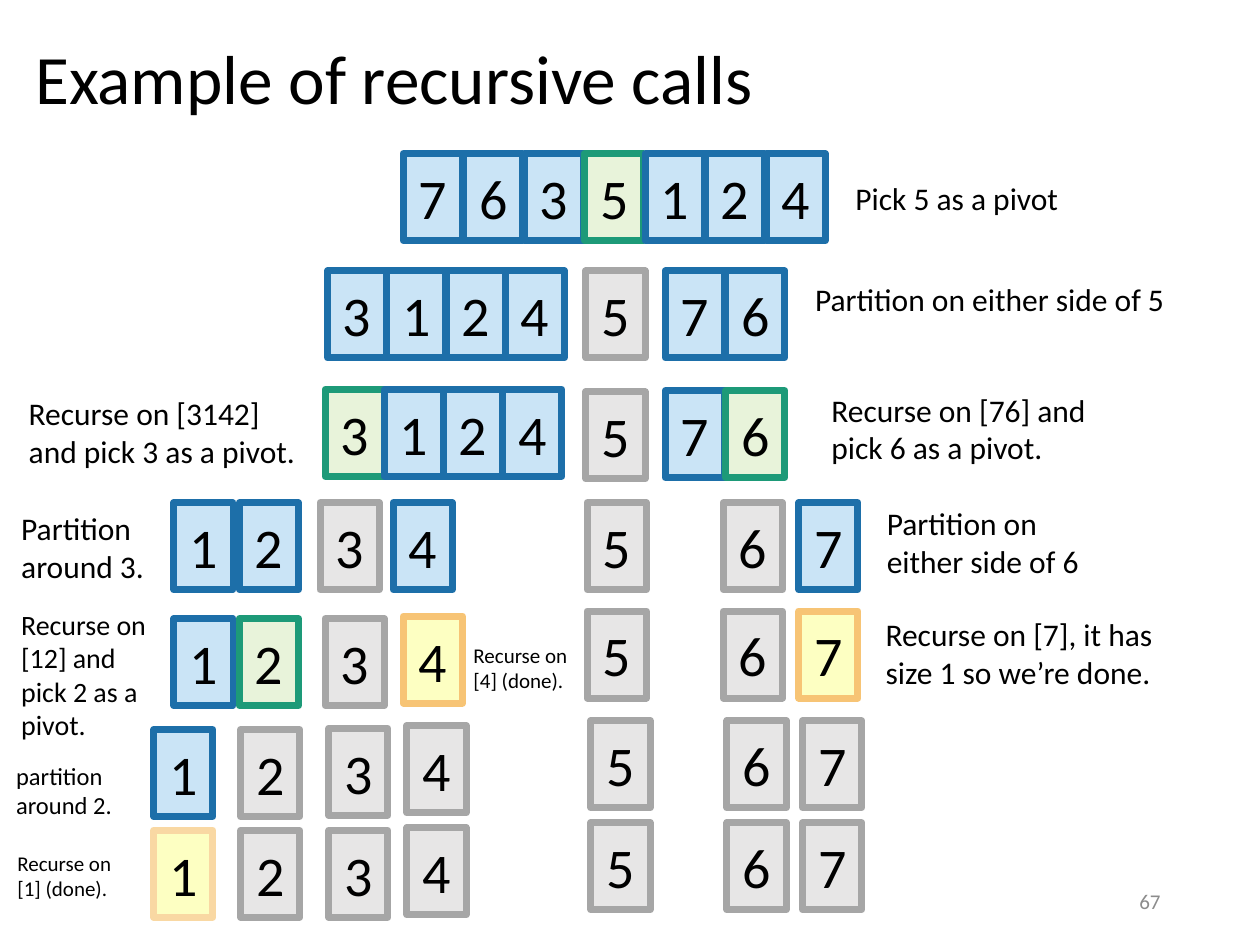
"""Build a slide that traces the recursive calls of quicksort."""
from pptx import Presentation
from pptx.dml.color import RGBColor
from pptx.enum.shapes import MSO_SHAPE
from pptx.enum.text import MSO_ANCHOR, MSO_AUTO_SIZE, PP_ALIGN
from pptx.util import Inches, Pt

COLORS = {
    "text": "000000",
    "number": "8C8C8C",
    "active_fill": "CAE4F6", "active_line": "1D6FA9",
    "pivot_fill": "E8F3DA", "pivot_line": "1D9A78",
    "placed_fill": "E7E6E6", "placed_line": "A6A6A6",
    "single_fill": "FDFFC2", "single_line": "F7C475",
    "last_fill": "FDFFC2", "last_line": "F9D8A3",
}
STATES = {"a": "active", "p": "pivot", "x": "placed", "s": "single", "l": "last"}
CELL_W, CELL_H, PITCH = 0.47, 0.69, 0.48

# left, top, digits, states, pitch
ARRAYS = [
    (3.2, 1.22, "7635124", "aaapaaa", PITCH),
    (2.6, 2.15, "3124", "aaaa", 0.47),
    (4.65, 2.15, "5", "x", PITCH),
    (5.28, 2.15, "76", "aa", PITCH),
    (2.58, 3.09, "3124", "paaa", 0.47),
    (4.65, 3.11, "5", "x", PITCH),
    (5.28, 3.1, "76", "ap", PITCH),
    (1.38, 3.99, "12", "aa", 0.52),
    (2.54, 3.99, "34", "xa", 0.58),
    (4.66, 3.99, "5", "x", PITCH),
    (5.74, 3.99, "67", "xa", 0.6),
    (1.38, 4.91, "12", "ap", 0.52),
    (2.58, 4.91, "3", "x", PITCH),
    (3.2, 4.89, "4", "s", PITCH),
    (4.66, 4.85, "5", "x", PITCH),
    (5.74, 4.85, "67", "xs", 0.6),
    (1.22, 5.79, "12", "ax", 0.69),
    (2.61, 5.78, "3", "x", PITCH),
    (3.23, 5.76, "4", "x", PITCH),
    (4.69, 5.72, "5", "x", PITCH),
    (5.77, 5.72, "67", "xx", 0.6),
    (1.22, 6.59, "12", "lx", 0.69),
    (2.61, 6.59, "3", "x", PITCH),
    (3.23, 6.57, "4", "x", PITCH),
    (4.69, 6.53, "5", "x", PITCH),
    (5.77, 6.53, "67", "xx", 0.6),
]

# left, top, width, height, size, text
NOTES = [
    (6.69, 1.37, 2.15, 0.4, 18, "Pick 5 as a pivot"),
    (6.37, 2.17, 3.09, 0.4, 18, "Partition on either side of 5"),
    (0.13, 3.08, 2.37, 0.71, 18, "Recurse on [3142] and pick 3 as a pivot."),
    (6.5, 3.05, 2.26, 0.71, 18, "Recurse on [76] and pick 6 as a pivot."),
    (0.07, 3.99, 1.43, 0.71, 18, "Partition around 3."),
    (6.94, 3.95, 1.77, 0.71, 18, "Partition on either side of 6"),
    (0.07, 4.77, 1.3, 1.18, 16, "Recurse on [12] and pick 2 as a pivot."),
    (3.66, 5.05, 0.96, 0.5, 12, "Recurse on [4] (done)."),
    (6.93, 4.83, 2.44, 0.71, 18, "Recurse on [7], it has size 1 so we’re done."),
    (0.03, 5.99, 1.13, 0.57, 14, "partition around 2."),
    (0.04, 6.7, 0.96, 0.5, 12, "Recurse on [1] (done)."),
]


def rgb(name):
    """Return the named colour."""
    return RGBColor.from_string(COLORS[name])


def write_text(sp, text, size=18, color="text", align=PP_ALIGN.LEFT,
               anchor=MSO_ANCHOR.TOP, fit=MSO_AUTO_SIZE.NONE, spacing=None):
    """Put one formatted paragraph into a shape."""
    tf = sp.text_frame
    tf.word_wrap = True
    tf.auto_size = fit
    tf.vertical_anchor = anchor
    p = tf.paragraphs[0]
    p.alignment = align
    p.line_spacing = spacing
    r = p.add_run()
    r.text = text
    r.font.name = "Calibri"
    r.font.size = Pt(size)
    r.font.color.rgb = rgb(color)


def add_title(s, text):
    """Place and fill the title placeholder."""
    sp = s.shapes.title
    sp.left, sp.top = Inches(0.18), Inches(0.32)
    sp.width, sp.height = Inches(8.62), Inches(0.66)
    write_text(sp, text, size=39.6, anchor=MSO_ANCHOR.MIDDLE, spacing=0.9)


def add_cell(s, left, top, digit, state):
    """Draw one array cell coloured by its state."""
    sp = s.shapes.add_shape(MSO_SHAPE.RECTANGLE, Inches(left), Inches(top),
                            Inches(CELL_W), Inches(CELL_H))
    sp.shadow.inherit = False
    sp.fill.solid()
    sp.fill.fore_color.rgb = rgb(f"{state}_fill")
    sp.line.color.rgb = rgb(f"{state}_line")
    sp.line.width = Pt(4)
    write_text(sp, digit, size=32, align=PP_ALIGN.CENTER,
               anchor=MSO_ANCHOR.MIDDLE)


def add_array(s, left, top, digits, states, pitch):
    """Draw a row of evenly spaced cells."""
    for i, (digit, state) in enumerate(zip(digits, states)):
        add_cell(s, left + i * pitch, top, digit, STATES[state])


def add_note(s, left, top, width, height, text, **fmt):
    """Add a wrapped text box."""
    sp = s.shapes.add_textbox(Inches(left), Inches(top),
                              Inches(width), Inches(height))
    write_text(sp, text, **fmt)


def main():
    """Build and save the slide."""
    prs = Presentation()
    prs.slide_width, prs.slide_height = Inches(10), Inches(7.5)
    s = prs.slides.add_slide(prs.slide_layouts[5])
    add_title(s, "Example of recursive calls")
    for array in ARRAYS:
        add_array(s, *array)
    for left, top, width, height, size, text in NOTES:
        add_note(s, left, top, width, height, text, size=size,
                 fit=MSO_AUTO_SIZE.SHAPE_TO_FIT_TEXT)
    add_note(s, 7.06, 6.95, 2.25, 0.4, "67", size=12, color="number",
             align=PP_ALIGN.RIGHT, anchor=MSO_ANCHOR.MIDDLE)
    prs.save("out.pptx")


if __name__ == "__main__":
    main()
